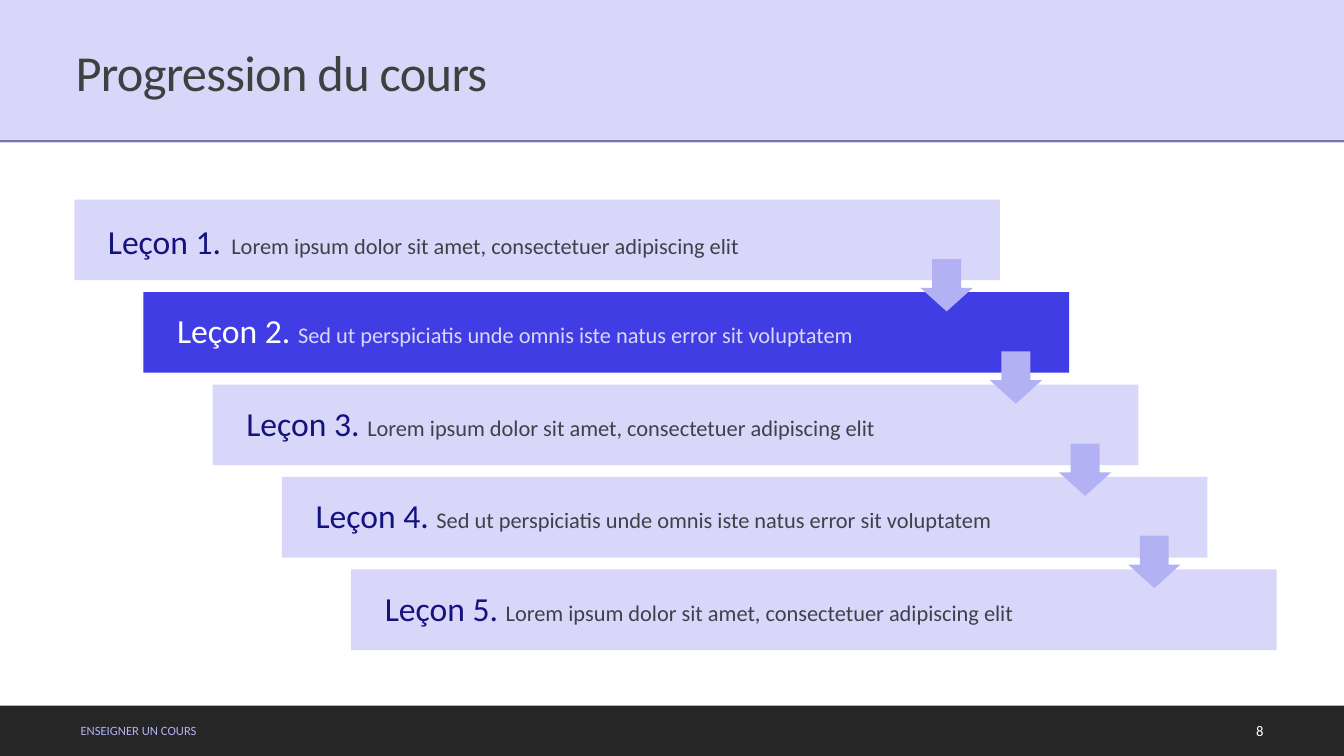
from lxml import etree
from pptx import Presentation, util as u
from pptx.dml.color import RGBColor
from pptx.enum import shapes, text
from pptx.oxml import ns

LILAC = RGBColor(0xB2, 0xB1, 0xF4)
PALE = RGBColor(0xD9, 0xD8, 0xF9)
BLUE = RGBColor(0x3F, 0x3D, 0xE3)
NAVY = RGBColor(0x13, 0x12, 0x7E)
DARK = RGBColor(0x26, 0x26, 0x26)
GREY = RGBColor(0x40, 0x40, 0x40)
BLACK = RGBColor(0, 0, 0)
WHITE = RGBColor(0xFF, 0xFF, 0xFF)

LOREM = "Lorem ipsum dolor sit amet, consectetuer adipiscing elit"
SED = "Sed ut perspiciatis unde omnis iste natus error sit voluptatem"
LESSONS = [LOREM, SED, LOREM, SED, LOREM]
ACTIVE = 1


class Deck:
    """Holds the style and current slide; lengths are percent of slide size."""

    font = "Calibri"

    def __init__(self, wide, high):
        self.prs = Presentation()
        self.prs.slide_width = u.Inches(wide)
        self.prs.slide_height = u.Inches(high)
        self.slide = self.prs.slides.add_slide(self.prs.slide_layouts[6])

    def place(self, x, y, w, h):
        wide, high = self.prs.slide_width, self.prs.slide_height
        return [round(p * s / 100) for p, s in zip((x, y, w, h), (wide, high) * 2)]

    def paint(self, fill, color, alpha=100):
        fill.solid()
        fill.fore_color.rgb = color
        if alpha < 100:
            tint = fill._xPr.find(".//" + ns.qn("a:srgbClr"))
            etree.SubElement(tint, ns.qn("a:alpha"), val=str(alpha * 1000))

    def shape(self, box, color, alpha=100, kind=shapes.MSO_SHAPE.RECTANGLE, adj=()):
        item = self.slide.shapes.add_shape(kind, *self.place(*box))
        item.shadow.inherit = False
        item.line.fill.background()
        self.paint(item.fill, color, alpha)
        for i, part in enumerate(adj):
            item.adjustments[i] = part
        return item

    def line(self, x, y, w, color, size):
        left, top, width, _ = self.place(x, y, w, 0)
        rule = self.slide.shapes.add_connector(
            shapes.MSO_CONNECTOR.STRAIGHT, left, top, left + width, top)
        rule.line.color.rgb = color
        rule.line.width = u.Pt(size)
        etree.SubElement(rule._element.spPr, ns.qn("a:effectLst"))

    def box(self, *box):
        return self.slide.shapes.add_textbox(*self.place(*box))

    def label(self, item, *runs, inset=(0.1, 0.05, 0.1, 0.05), space=1.0,
              align=text.PP_ALIGN.LEFT):
        frame = item.text_frame
        frame.word_wrap = True
        frame.vertical_anchor = text.MSO_ANCHOR.MIDDLE
        (frame.margin_left, frame.margin_top, frame.margin_right,
         frame.margin_bottom) = map(u.Inches, inset)
        par = frame.paragraphs[0]
        par.alignment = align
        par.line_spacing = space
        for run in runs:
            self.phrase(par, **run)

    def phrase(self, par, words, size, color, alpha=100, track=0):
        run = par.add_run()
        run.text = words
        run.font.name = self.font
        run.font.size = u.Pt(size)
        self.paint(run.font.fill, color, alpha)
        if track:
            run.font._element.set("spc", str(round(track * 100)))


def lesson(deck, i, words):
    x, y = 5.53 + 5.15 * i, 26.4 + 12.23 * i
    on = i == ACTIVE
    deck.shape((x, y, 68.87, 10.67), BLUE if on else LILAC, 100 if on else 50)
    item = deck.box(x + 0.18, y + 0.33, 59.49 if i else 61.67, 10.13)
    head = WHITE if on else NAVY
    deck.label(
        item,
        dict(words=f"Leçon {i + 1}.", size=24, color=head),
        dict(words=" ", size=24 if i else 32, color=head),
        dict(words=words, size=16, color=PALE if on else BLACK,
             alpha=100 if on else 70),
        inset=(0.31, 0.1, 0.1, 0.1), space=0.9)


def main():
    deck = Deck(13.33, 7.5)
    deck.shape((0, 93.33, 100, 6.67), DARK)
    deck.line(0, 18.67, 100, GREY, 1)
    title = deck.shape((0, 0, 100, 18.9), LILAC, 50)
    deck.label(title,
               dict(words="Progression du cours", size=36, color=GREY, track=-0.5),
               inset=(0.75, 0.12, 0.1, 0.05), space=0.9)

    for i, words in enumerate(LESSONS):
        lesson(deck, i, words)
    for i in range(len(LESSONS) - 1):
        deck.shape((68.49 + 5.15 * i, 34.27 + 12.2 * i, 3.9, 6.93), LILAC,
                   kind=shapes.MSO_SHAPE.DOWN_ARROW, adj=(0.55, 0.45))

    deck.label(deck.box(5.25, 94, 55.96, 5.33),
               dict(words="ENSEIGNER UN COURS", size=9, color=LILAC))
    deck.label(deck.box(89.65, 94, 5.1, 5.33),
               dict(words="8", size=10.5, color=WHITE),
               align=text.PP_ALIGN.RIGHT)
    deck.prs.save("out.pptx")


if __name__ == "__main__":
    main()
